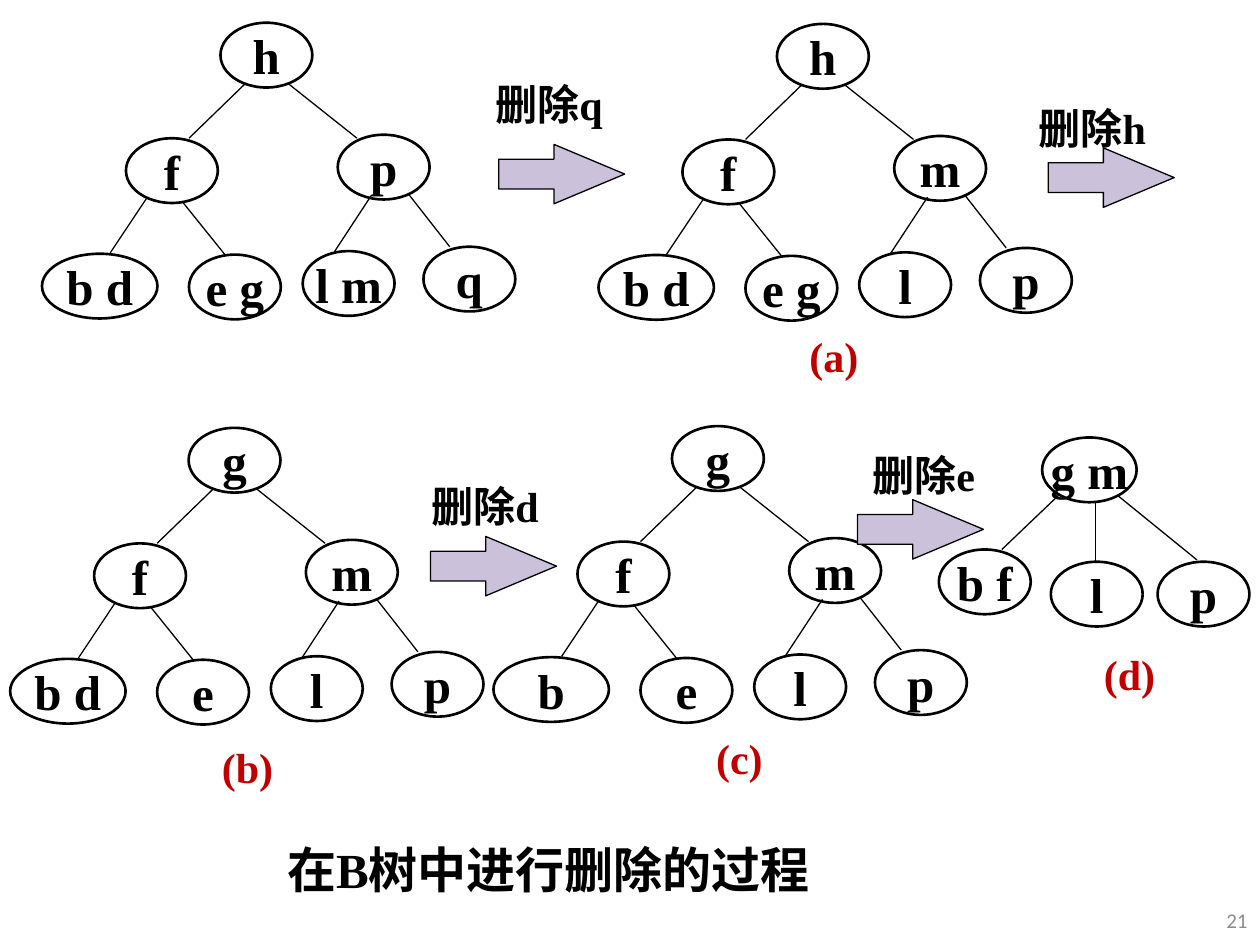
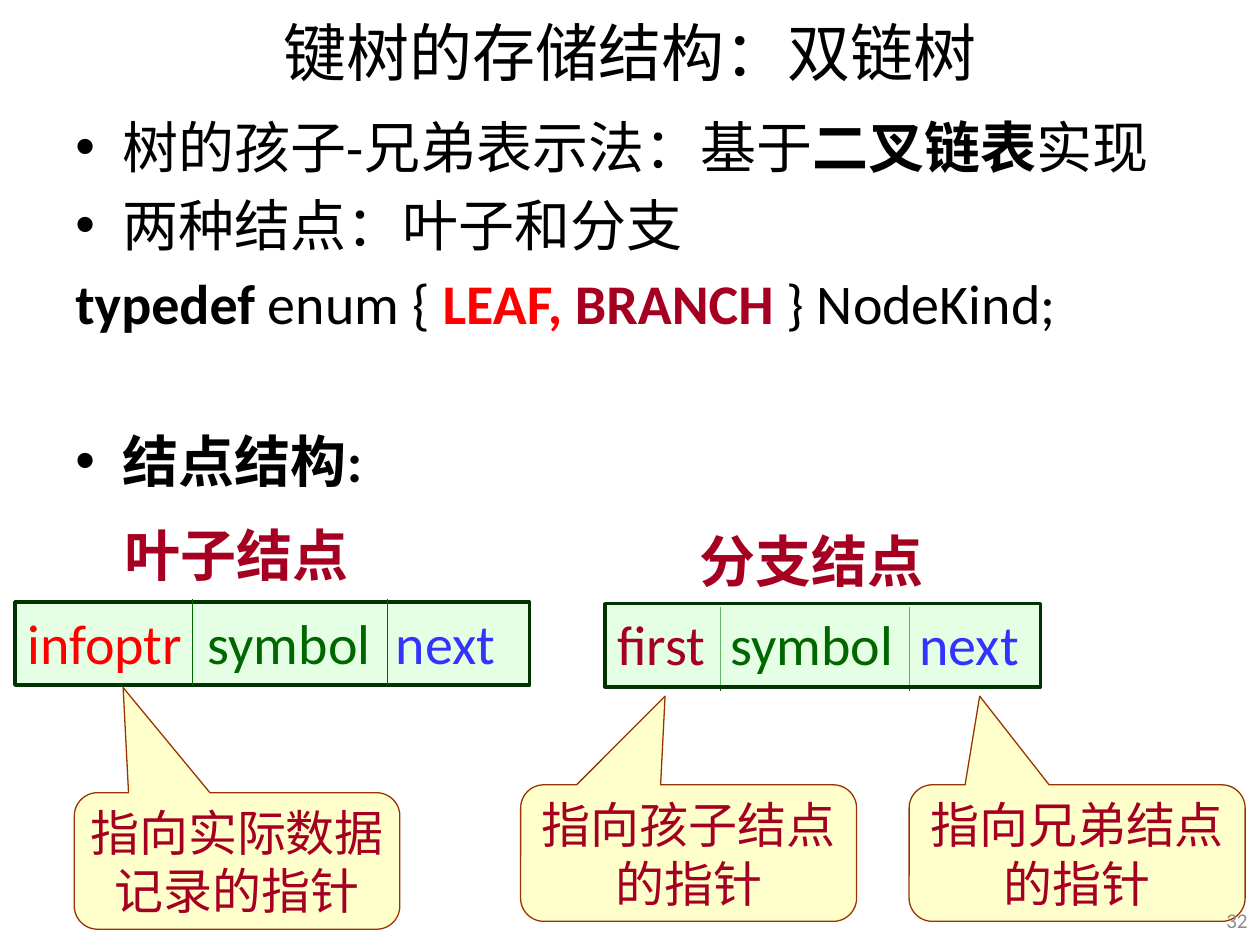
from lxml.etree import SubElement
from pptx import Presentation
from pptx.dml.color import RGBColor
from pptx.enum.shapes import MSO_CONNECTOR as Link, MSO_SHAPE as Kind
from pptx.enum.text import MSO_ANCHOR as Anchor, PP_ALIGN as Align
from pptx.oxml.ns import qn
from pptx.util import Pt

SERIF, SANS = "Times New Roman", "Calibri"
BLACK, GREY, CRIMSON = "000000", "8C8C8C", "C00000"
WINE, RED, BLUE, GREEN = "A50021", "FF0000", "3333FF", "006600"
LILAC, CREAM, RUST = "CCC1DA", "FFFFCC", "993300"
MINT, PINE = "CCFFCC", "003300"

# Key slots of a full tree: root, two branches, four leaves (x, y, width)
FULL = [(102, 0, 52.5), (48, 66, 52.5), (169, 64, 52.5), (0, 132, 66),
        (84, 132.5, 52.5), (149, 130.5, 52.5), (218, 128, 52.5)]
FULL_LINKS = [(116.5, 34.5, 84, 66), (141, 35, 180, 66),
              (60, 100, 39, 131.5), (80, 102, 104.5, 132.5),
              (188, 99, 167, 131), (209.5, 98, 233, 128)]
SMALL = [(59, 0, 54), (0, 64, 52.5), (64, 71, 52.5), (125, 71, 52.5)]
SMALL_LINKS = [(69, 32.5, 36, 64), (89.5, 37, 89.5, 71), (102, 33, 147.5, 70)]
KEY_H = 37


def rgb(code):
    return RGBColor.from_string(code)


def write(para, text, size, color=BLACK, font=SANS, bold=False):
    run = para.add_run()
    run.text = text
    run.font.size, run.font.name, run.font.bold = Pt(size), font, bold
    run.font.color.rgb = rgb(color)


def label(shapes, box, text, size, color=BLACK, font=SANS, bold=False,
          align=Align.LEFT, anchor=Anchor.MIDDLE, wrap=False, inset=7.2):
    frame = shapes.add_textbox(*map(Pt, box)).text_frame
    frame.word_wrap, frame.vertical_anchor = wrap, anchor
    frame.margin_left = frame.margin_right = Pt(inset)
    para = frame.paragraphs[0]
    para.alignment = align
    write(para, text, size, color, font, bold)


def draw(shapes, kind, box, fill, line, width):
    shape = shapes.add_shape(kind, *map(Pt, box))
    shape.shadow.inherit = False
    if fill:
        shape.fill.solid()
        shape.fill.fore_color.rgb = rgb(fill)
    else:
        shape.fill.background()
    shape.line.color.rgb, shape.line.width = rgb(line), Pt(width)
    shape.text_frame.word_wrap = False
    return shape


def rule(shapes, ends, color=BLACK):
    line = shapes.add_connector(Link.STRAIGHT, *map(Pt, ends))
    line.line.color.rgb, line.line.width = rgb(color), Pt(0.75)
    SubElement(line._element.spPr, qn("a:effectLst"))


def number(slide, text):
    label(slide.shapes, (689, 511, 31, 29), text, 12, GREY,
          align=Align.RIGHT, wrap=True)


def tree(slide, x, y, keys, slots=FULL, links=FULL_LINKS):
    shapes = slide.shapes.add_group_shape().shapes
    for x1, y1, x2, y2 in links:
        rule(shapes, (x + x1, y + y1, x + x2, y + y2))
    for key, (dx, dy, width) in zip(keys, slots):
        oval = draw(shapes, Kind.OVAL, (x + dx, y + dy, width, KEY_H),
                    None, BLACK, 1.5)
        frame = oval.text_frame
        frame.vertical_anchor = Anchor.MIDDLE
        para = frame.paragraphs[0]
        para.alignment = Align.CENTER
        write(para, key, 28, BLACK, SERIF, True)


def step(slide, text, at, arrow):
    """Place a deletion caption and the block arrow that goes with it."""
    label(slide.shapes, (*at, 86, 31), text, 24, font=SERIF, bold=True)
    shape = draw(slide.shapes, Kind.RIGHT_ARROW, (*arrow, 72, 34),
                 LILAC, BLACK, 0.75)
    shape.adjustments[0], shape.adjustments[1] = 0.5, 1.19


def deletion(slide):
    tree(slide, 24, 13, ["h", "f", "p", "b d", "e g", "l m", "q"])
    tree(slide, 342, 13.7, ["h", "f", "m", "b d", "e g", "l", "p"])
    tree(slide, 5.8, 244.5, ["g", "f", "m", "b d", "e", "l", "p"])
    tree(slide, 282, 243.5, ["g", "f", "m", "b", "e", "l", "p"])
    tree(slide, 536.5, 250, ["g m", "b f", "l", "p"], SMALL, SMALL_LINKS)
    for text, at, arrow in [("删除q", (276, 44), (285, 82.5)),
                            ("删除h", (586.5, 57.5), (599, 84.5)),
                            ("删除d", (239.5, 273.5), (246, 306.5)),
                            ("删除e", (491.5, 255.5), (490, 285.5))]:
        step(slide, text, at, arrow)
    for text, x, y in [("(a)", 459, 188), ("(b)", 124, 422.5),
                       ("(c)", 405, 417.5), ("(d)", 628, 369.5)]:
        label(slide.shapes, (x, y, 35, 31), text, 24, CRIMSON, SERIF, True,
              Align.CENTER, inset=0)
    label(slide.shapes, (157, 476.5, 346, 40), "在B树中进行删除的过程", 28,
          font=SERIF, bold=True)
    number(slide, "21")


def body(slide, box):
    lines = [
        (True, 6, [("树的孩子-兄弟表示法：基于", BLACK, False),
                   ("二叉链表", BLACK, True), ("实现", BLACK, False)]),
        (True, 6.4, [("两种结点：叶子和分支", BLACK, False)]),
        (False, 6.4, [("typedef ", BLACK, True), ("enum { ", BLACK, False),
                      ("LEAF, ", RED, True), ("BRANCH ", WINE, True),
                      ("} NodeKind;", BLACK, False)]),
        (True, 51.4, [("结点结构:", BLACK, True)]),
    ]
    frame = slide.shapes.add_textbox(*map(Pt, box)).text_frame
    frame.word_wrap = True
    for i, (dot, gap, runs) in enumerate(lines):
        para = frame.add_paragraph() if i else frame.paragraphs[0]
        para.space_before = Pt(gap)
        if dot:
            props = para._p.get_or_add_pPr()
            props.set("marL", str(Pt(27)))
            props.set("indent", str(-Pt(27)))
            SubElement(props, qn("a:buFont"), typeface="Arial")
            SubElement(props, qn("a:buChar"), char="•")
        for text, color, bold in runs:
            write(para, text, 32, color, bold=bold)


def record(slide, box, fields, tabs):
    """Draw a translucent record whose fields start at tab stops."""
    shape = draw(slide.shapes, Kind.RECTANGLE, box, MINT, PINE, 2)
    tint = shape._element.spPr.find(qn("a:solidFill"))[0]
    SubElement(tint, qn("a:alpha"), val="50000")
    shape.text_frame.vertical_anchor = Anchor.TOP
    para = shape.text_frame.paragraphs[0]
    para.alignment = Align.LEFT
    stops = SubElement(para._p.get_or_add_pPr(), qn("a:tabLst"))
    for tab in tabs:
        SubElement(stops, qn("a:tab"), pos=str(Pt(tab)), algn="l")
    for i, (text, color) in enumerate(fields):
        write(para, "\t" + text if i else text, 32, color)


def cuts(slide, box, xs, top, end):
    """Draw the field borders of a record."""
    x, y = box[:2]
    for dx in xs:
        rule(slide.shapes, (x + dx, y + top, x + dx, y + end), GREEN)


def callout(slide, box, tip, lines):
    shape = draw(slide.shapes, Kind.ROUNDED_RECTANGULAR_CALLOUT, box,
                 CREAM, RUST, 0.75)
    for i, value in enumerate((*tip, 0.17)):
        shape.adjustments[i] = value
    frame = shape.text_frame
    frame.vertical_anchor = Anchor.MIDDLE
    for i, text in enumerate(lines):
        para = frame.add_paragraph() if i else frame.paragraphs[0]
        para.alignment = Align.CENTER
        write(para, text, 28, WINE)


def storage(slide):
    leaf, branch = (8.6, 344, 294, 47.5), (345.6, 345, 249, 47.5)
    tail = [("symbol", GREEN), ("next", BLUE)]
    cuts(slide, branch, (66.2, 174), 2, 50)
    record(slide, branch, [("first", WINE)] + tail, (64.6, 172.6))
    record(slide, leaf, [("infoptr", RED)] + tail, (103, 210.5))
    cuts(slide, leaf, (101.5, 213), -1.5, 47.5)
    for text, x, y in [("叶子结点", 64, 294), ("分支结点", 392.5, 297.5)]:
        label(slide.shapes, (x, y, 143, 45), text, 32, WINE, bold=True,
              anchor=Anchor.TOP)
    callout(slide, (297.5, 448.5, 192, 78), (-0.07, -1.15),
            ["指向孩子结点", "的指针"])
    callout(slide, (519.5, 448.5, 192, 78), (-0.29, -1.15),
            ["指向兄弟结点", "的指针"])
    callout(slide, (42.5, 453, 186, 78), (-0.35, -1.27),
            ["指向实际数据", "记录的指针"])
    label(slide.shapes, (36, -2, 648, 63), "键树的存储结构：双链树", 36,
          align=Align.CENTER, wrap=True)
    body(slide, (36, 60.5, 648, 479.5))
    number(slide, "32")


def main():
    deck = Presentation()
    deck.slide_width, deck.slide_height = Pt(720), Pt(540)
    for fill in (deletion, storage):
        fill(deck.slides.add_slide(deck.slide_layouts[6]))
    deck.save("out.pptx")


if __name__ == "__main__":
    main()
